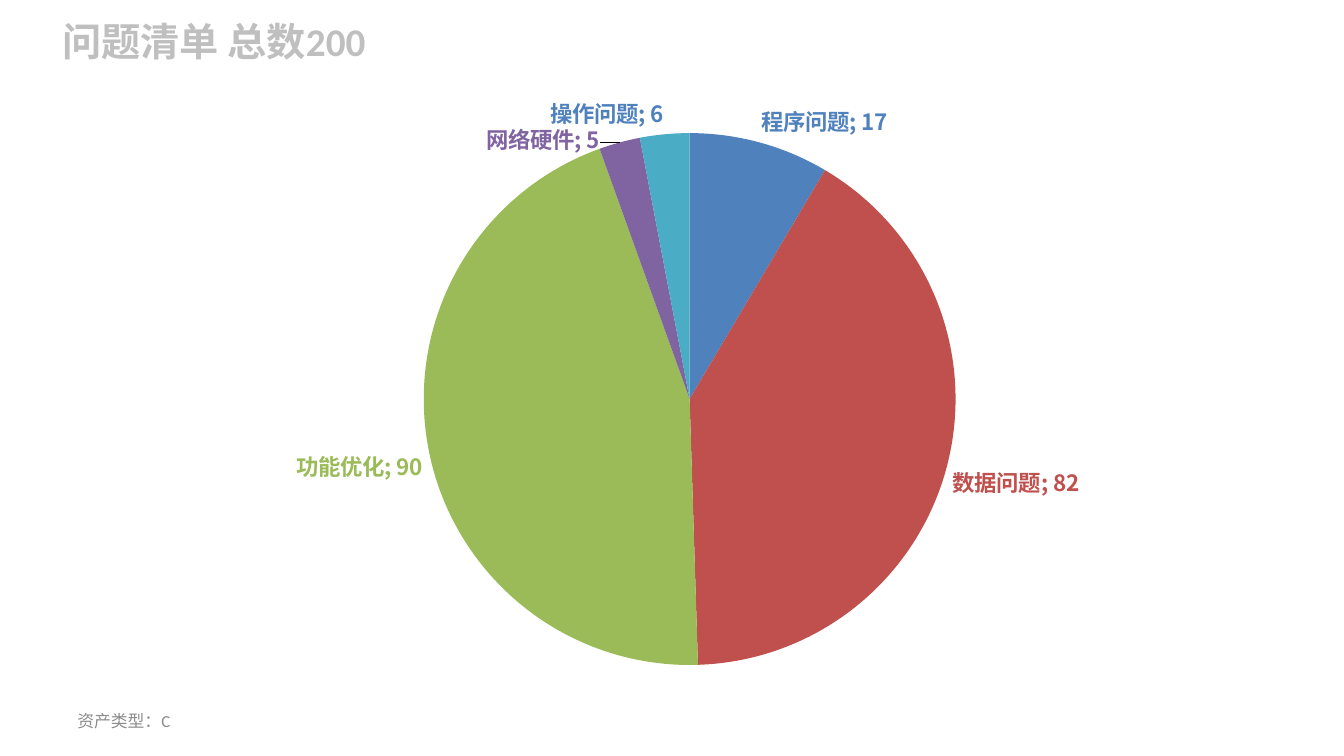
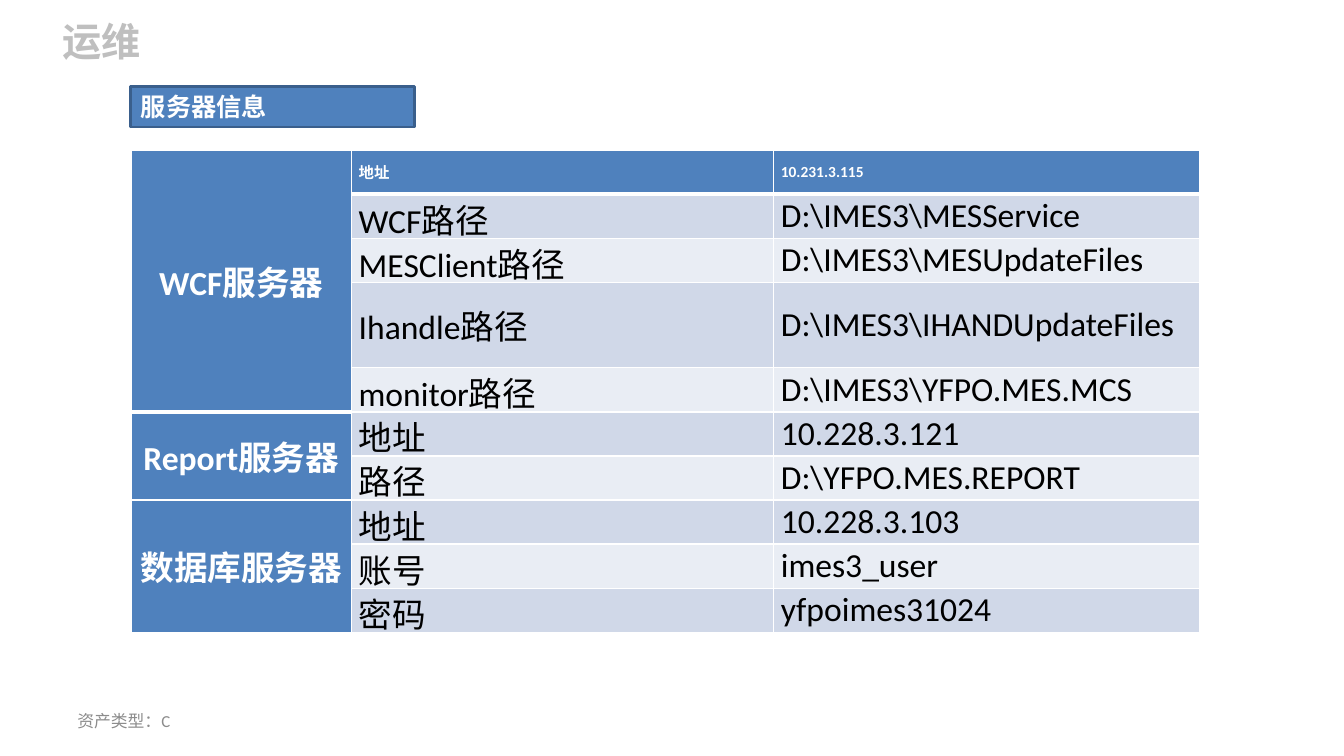
"""Build an issue summary slide and a server information slide."""
import pptx
import pptx.chart.data
import pptx.dml.color
import pptx.enum.chart
import pptx.enum.shapes
import pptx.enum.text
import pptx.oxml
import pptx.oxml.ns
import pptx.util
from lxml import etree

Cm = pptx.util.Cm
Pt = pptx.util.Pt
MIDDLE = pptx.enum.text.MSO_ANCHOR.MIDDLE
OUTSIDE_END = pptx.enum.chart.XL_LABEL_POSITION.OUTSIDE_END

COLORS = {
    "title": "BFBFBF", "footer": "8C8C8C", "white": "FFFFFF", "black": "000000",
    "blue": "4F81BD", "red": "C0504D", "green": "9BBB59", "purple": "8064A2",
    "teal": "4BACC6", "outline": "3A5F8C", "band": "D0D8E8", "light_band": "E9EDF4",
}


def style_font(font, size, color, bold=False, name="Calibri"):
    font.name = name
    font.size = Pt(size)
    font.bold = bold
    font.color.rgb = pptx.dml.color.RGBColor.from_string(COLORS[color])


def add_slide(title):
    slide = deck.slides.add_slide(deck.slide_layouts[6])
    for text, box, size, color, bold in (
        (title, (1.32, 0.3, 25.35, 1.45), 28, "title", True),
        ("资产类型：C", (1.7, 17.65, 7.9, 1.02), 12, "footer", False),
    ):
        frame = slide.shapes.add_textbox(*map(Cm, box)).text_frame
        frame.word_wrap = True
        frame.text = text
        if color == "footer":
            frame.vertical_anchor = MIDDLE
        style_font(frame.paragraphs[0].runs[0].font, size, color, bold)
    return slide


deck = pptx.Presentation()
deck.slide_width = Cm(33.87)
deck.slide_height = Cm(19.05)

issue_slide = add_slide("问题清单 总数200")
issues = [("程序问题", 17, "blue"), ("数据问题", 82, "red"), ("功能优化", 90, "green"),
          ("网络硬件", 5, "purple"), ("操作问题", 6, "teal")]
issue_data = pptx.chart.data.CategoryChartData()
issue_data.categories = [issue for issue, count, color in issues]
issue_data.add_series("Series 1", [count for issue, count, color in issues])
issue_chart = issue_slide.shapes.add_chart(
    pptx.enum.chart.XL_CHART_TYPE.PIE, Cm(5.64), Cm(2), Cm(22.58), Cm(15.06), issue_data).chart
issue_chart.has_title = False
issue_chart.has_legend = False
style_font(issue_chart.font, 10, "black")
issue_chart.plots[0].vary_by_categories = True
issue_series = issue_chart.plots[0].series[0]
issue_labels = issue_series.data_labels
issue_labels.show_value = True
issue_labels.show_category_name = True
issue_labels.position = OUTSIDE_END
style_font(issue_labels.font, 16, "blue", True, "Noto Sans CJK SC")
for index, (issue, count, color) in enumerate(issues):
    point = issue_series.points[index]
    point.format.fill.solid()
    point.format.fill.fore_color.rgb = pptx.dml.color.RGBColor.from_string(COLORS[color])
    label_color = "blue" if color == "teal" else color
    style_font(point.data_label.font, 16, label_color, True, "Noto Sans CJK SC")
    point.data_label.position = OUTSIDE_END

chart_xml = issue_chart._chartSpace
for show_category in chart_xml.xpath(".//c:ser//c:showCatName"):
    show_category.set("val", "1")
for show_bubble in chart_xml.xpath(".//c:ser//c:showBubbleSize"):
    separator = etree.Element(pptx.oxml.ns.qn("c:separator"))
    separator.text = "; "
    show_bubble.addnext(separator)
hardware_index = chart_xml.xpath('.//c:dLbl/c:idx[@val="3"]')[0]
hardware_index.addnext(pptx.oxml.parse_xml(
    f'<c:layout {pptx.oxml.ns.nsdecls("c")}><c:manualLayout>'
    '<c:x val="-0.02"/><c:y val="0.03"/></c:manualLayout></c:layout>'))
plot_area = chart_xml.xpath(".//c:plotArea")[0]
for old_layout in plot_area.xpath("./c:layout"):
    plot_area.remove(old_layout)
plot_area.insert(0, pptx.oxml.parse_xml(
    f'<c:layout {pptx.oxml.ns.nsdecls("c")}><c:manualLayout><c:layoutTarget val="inner"/>'
    '<c:xMode val="edge"/><c:yMode val="edge"/><c:x val="0.22"/><c:y val="0.09"/>'
    '<c:w val="0.6"/><c:h val="0.89"/></c:manualLayout></c:layout>'))

server_slide = add_slide("运维")
server_groups = [
    ("WCF服务器", [("地址", "10.231.3.115"), ("WCF路径", r"D:\IMES3\MESService"),
                ("MESClient路径", r"D:\IMES3\MESUpdateFiles"),
                ("Ihandle路径", r"D:\IMES3\IHANDUpdateFiles"),
                ("monitor路径", r"D:\IMES3\YFPO.MES.MCS")]),
    ("Report服务器", [("地址", "10.228.3.121"), ("路径", r"D:\YFPO.MES.REPORT")]),
    ("数据库服务器", [("地址", "10.228.3.103"), ("账号", "imes3_user"), ("密码", "yfpoimes31024")]),
]
server_rows = [(server if index == 0 else "", *entry)
               for server, entries in server_groups for index, entry in enumerate(entries)]
server_table = server_slide.shapes.add_table(
    len(server_rows), 3, Cm(3.3), Cm(3.78), Cm(26.92), Cm(12.15)).table
for column, width in zip(server_table.columns, (5.56, 10.64, 10.72)):
    column.width = Cm(width)
for row_index, entry in enumerate(server_rows):
    server_table.rows[row_index].height = Cm(2.16 if entry[1] == "Ihandle路径" else 1.11)
    for column_index, text in enumerate(entry):
        cell = server_table.cell(row_index, column_index)
        is_heading = row_index == 0 or column_index == 0
        cell.text = text
        cell.vertical_anchor = MIDDLE
        cell.margin_left = cell.margin_right = Cm(0.18)
        cell.margin_top = cell.margin_bottom = 0
        fill_color = "blue" if is_heading else "band" if row_index % 2 else "light_band"
        cell.fill.solid()
        cell.fill.fore_color.rgb = pptx.dml.color.RGBColor.from_string(COLORS[fill_color])
        paragraph = cell.text_frame.paragraphs[0]
        if column_index == 0:
            paragraph.alignment = pptx.enum.text.PP_ALIGN.CENTER
        for run in paragraph.runs:
            style_font(run.font, 11 if row_index == 0 and column_index else 24,
                       "white" if is_heading else "black", is_heading)
        for position, side in enumerate(("lnL", "lnR", "lnT", "lnB")):
            border_width = Pt(3 if row_index == 0 and side == "lnB" else 1)
            cell._tc.get_or_add_tcPr().insert(position, pptx.oxml.parse_xml(
                f'<a:{side} {pptx.oxml.ns.nsdecls("a")} w="{border_width}"><a:solidFill>'
                f'<a:srgbClr val="{COLORS["white"]}"/></a:solidFill></a:{side}>'))
first_row = 0
for server, entries in server_groups:
    last_row = first_row + len(entries) - 1
    server_table.cell(first_row, 0).merge(server_table.cell(last_row, 0))
    first_row = last_row + 1

server_heading = server_slide.shapes.add_shape(
    pptx.enum.shapes.MSO_SHAPE.RECTANGLE, Cm(3.3), Cm(2.18), Cm(7.14), Cm(1.02))
server_heading.shadow.inherit = False
server_heading.fill.solid()
server_heading.fill.fore_color.rgb = pptx.dml.color.RGBColor.from_string(COLORS["blue"])
server_heading.line.color.rgb = pptx.dml.color.RGBColor.from_string(COLORS["outline"])
server_heading.line.width = Pt(2)
heading_frame = server_heading.text_frame
heading_frame.text = "服务器信息"
heading_frame.word_wrap = True
heading_frame.auto_size = pptx.enum.text.MSO_AUTO_SIZE.SHAPE_TO_FIT_TEXT
heading_frame.vertical_anchor = pptx.enum.text.MSO_ANCHOR.TOP
heading_frame.paragraphs[0].alignment = pptx.enum.text.PP_ALIGN.LEFT
style_font(heading_frame.paragraphs[0].runs[0].font, 18, "white", True)

deck.save("out.pptx")
